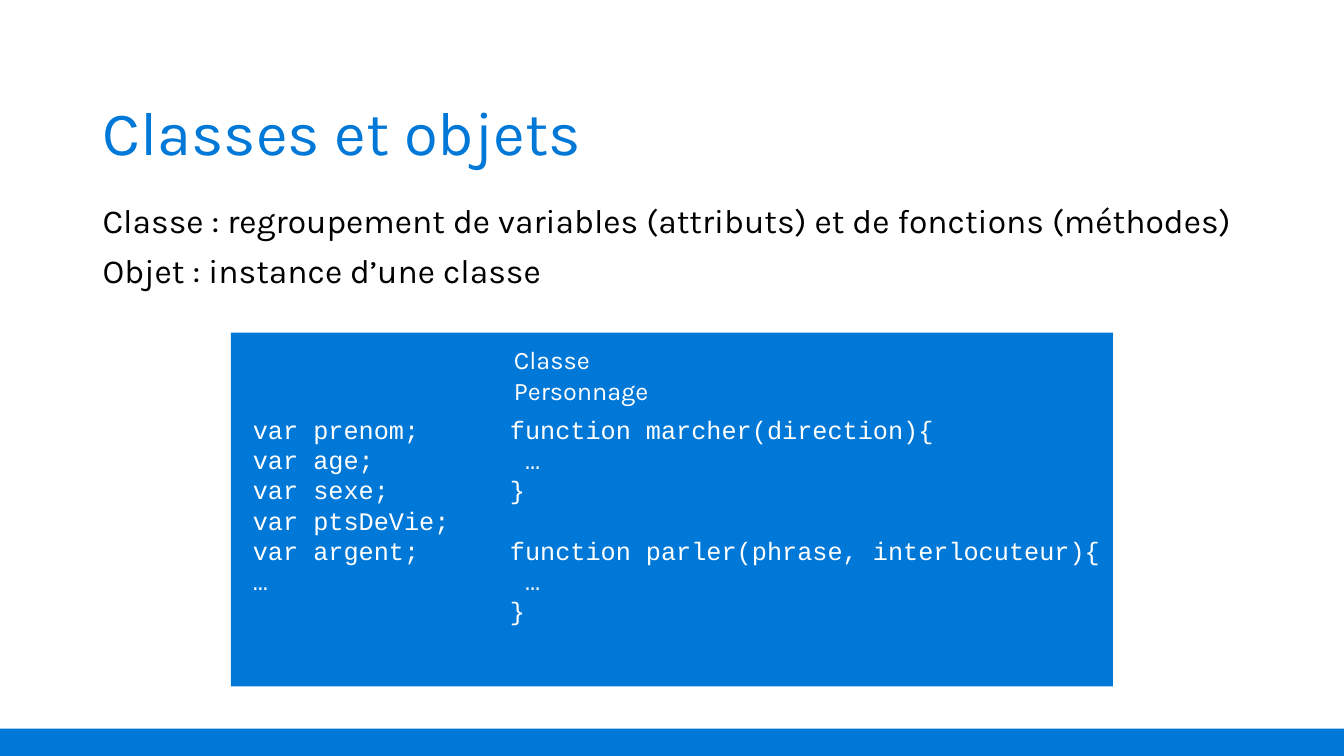
from dataclasses import dataclass

from pptx import Presentation
from pptx import util as u
from pptx.dml.color import RGBColor
from pptx.enum import shapes, text

SLIDE_WIDTH, SLIDE_HEIGHT = u.Inches(13.33), u.Inches(7.5)
COLUMNS, ROWS = 40, 30


@dataclass(frozen=True)
class Theme:
    blue: RGBColor = RGBColor(0x00, 0x78, 0xD7)
    black: RGBColor = RGBColor(0x00, 0x00, 0x00)
    white: RGBColor = RGBColor(0xFF, 0xFF, 0xFF)
    sans: str = "Karla"
    mono: str = "Courier New"
    title_size: u.Pt = u.Pt(44)
    body_size: u.Pt = u.Pt(24)
    panel_size: u.Pt = u.Pt(18)
    body_gap: u.Pt = u.Pt(10)
    code_gap: u.Pt = u.Pt(21.5)


THEME = Theme()
TITLE = {"name": THEME.sans, "size": THEME.title_size, "color": THEME.blue}
BODY = {"name": THEME.sans, "size": THEME.body_size, "color": THEME.black}
HEADING = {"name": THEME.sans, "size": THEME.panel_size, "color": THEME.white}
CODE = {**HEADING, "name": THEME.mono}
TIGHT = {"line_spacing": 0.9}
FITTED = {"auto_size": text.MSO_AUTO_SIZE.SHAPE_TO_FIT_TEXT}

ATTRIBUTES = ["var prenom;", "var age;", "var sexe;", "var ptsDeVie;", "var argent;", "…"]
METHODS = ["marcher(direction)", "parler(phrase, interlocuteur)"]


def place(left, top, width, height):
    """Turn grid columns and rows into slide lengths."""
    column, row = SLIDE_WIDTH / COLUMNS, SLIDE_HEIGHT / ROWS
    return [round(n * step) for n, step in
            ((left, column), (top, row), (width, column), (height, row))]


def apply(target, values):
    for name, value in values.items():
        setattr(target, name, value)


def add_block(slide, area, groups, font, gap=None, spacing=None, frame=None):
    """Write groups of lines, with the gap above each group but the first."""
    text_frame = slide.shapes.add_textbox(*place(*area)).text_frame
    apply(text_frame, {"word_wrap": True, **(frame or {})})
    paragraph = text_frame.paragraphs[0]
    for group_index, lines in enumerate(groups):
        for line_index, line in enumerate(lines):
            if group_index or line_index:
                paragraph = text_frame.add_paragraph()
            if group_index and not line_index:
                paragraph.space_before = gap
            apply(paragraph, spacing or {})
            run = paragraph.add_run()
            run.text = line
            apply(run.font, {"name": font["name"], "size": font["size"]})
            run.font.color.rgb = font["color"]


def add_blue_rectangle(slide, area):
    rectangle = slide.shapes.add_shape(shapes.MSO_SHAPE.RECTANGLE, *place(*area))
    rectangle.shadow.inherit = False
    rectangle.fill.solid()
    rectangle.fill.fore_color.rgb = THEME.blue
    rectangle.line.fill.background()


def add_class_panel(slide):
    add_blue_rectangle(slide, (6.87, 13.2, 26.25, 14.04))
    add_block(slide, (15, 13.48, 6.66, 1.6), [["Classe Personnage"]], HEADING, frame=FITTED)
    unwrapped = {**FITTED, "word_wrap": False}
    add_block(slide, (7.23, 16.24, 6.48, 7.68), [ATTRIBUTES], CODE, frame=unwrapped)
    functions = [[f"function {method}{{", " …", "}"] for method in METHODS]
    add_block(slide, (14.88, 16.24, 18.24, 11.32), functions, CODE,
              gap=THEME.code_gap, frame=unwrapped)


def main():
    presentation = Presentation()
    apply(presentation, {"slide_width": SLIDE_WIDTH, "slide_height": SLIDE_HEIGHT})
    slide = presentation.slides.add_slide(presentation.slide_layouts[6])
    add_block(slide, (2.76, 2.48, 34.5, 5.8), [["Classes et objets"]], TITLE,
              spacing=TIGHT, frame={"vertical_anchor": text.MSO_ANCHOR.MIDDLE})
    definitions = [
        ["Classe : regroupement de variables (attributs) et de fonctions (méthodes)"],
        ["Objet : instance d’une classe"],
    ]
    add_block(slide, (2.76, 7.92, 35.64, 8.84), definitions, BODY,
              gap=THEME.body_gap, spacing=TIGHT)
    add_blue_rectangle(slide, (0, 28.92, COLUMNS, 1.08))
    add_class_panel(slide)
    presentation.save("out.pptx")


if __name__ == "__main__":
    main()
